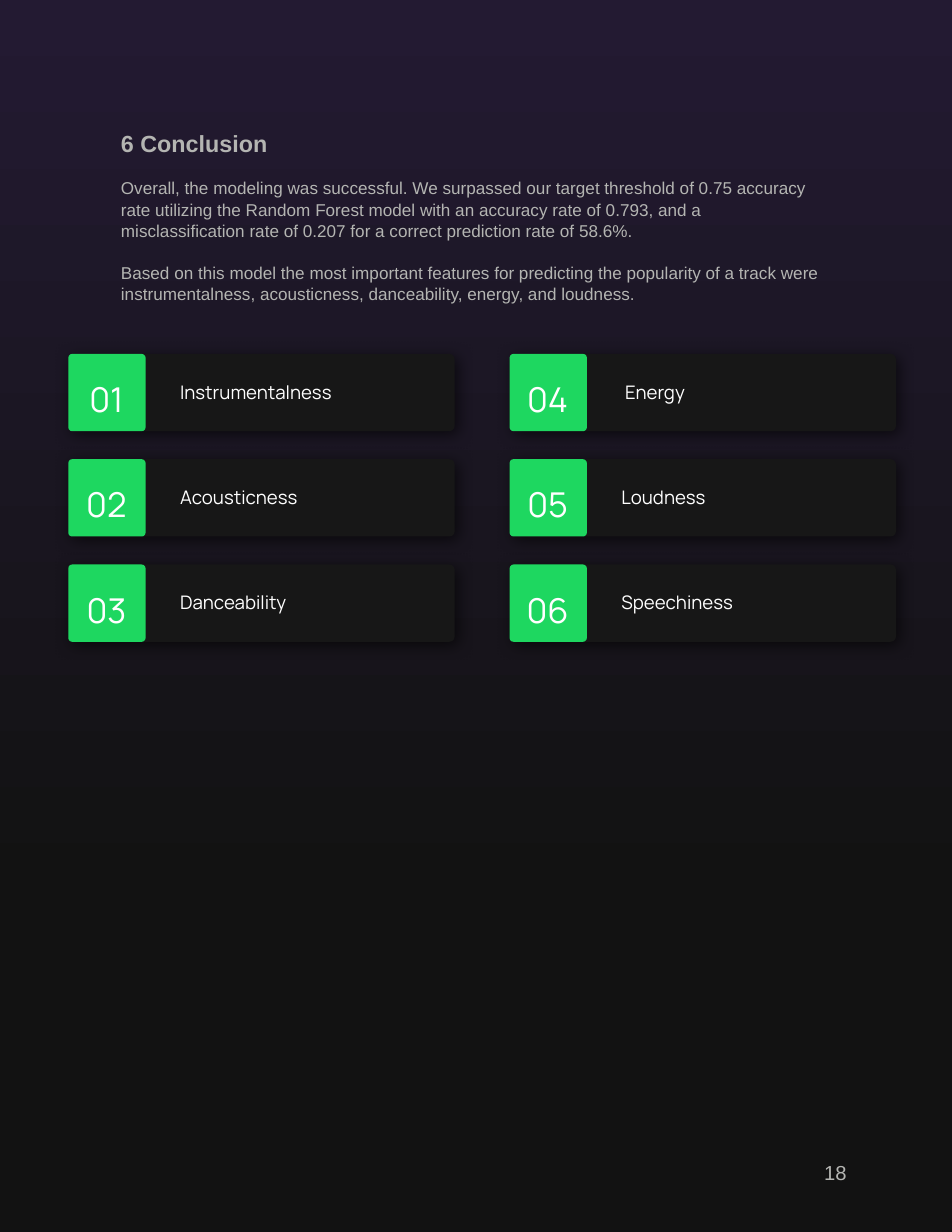
from dataclasses import dataclass
from lxml import etree
from pptx import Presentation
from pptx import util as u
from pptx.dml import color as col
from pptx.enum import shapes, text
from pptx.oxml import ns


def rgb(code):
    return col.RGBColor.from_string(code)


@dataclass(frozen=True)
class Theme:
    top: str = "231A32"
    base: str = "121212"
    bar: str = "171717"
    green: str = "1ED760"
    grey: str = "B4B5B2"
    white: str = "FFFFFF"
    shade: str = "000000"
    sans: str = "Arial"
    round: str = "Manrope"
    head: int = 15
    prose: int = 11
    page: int = 13
    digit: int = 22
    label: int = 12


T = Theme()
LEFT = text.PP_ALIGN.LEFT
MID = text.PP_ALIGN.CENTER
FIT = text.MSO_AUTO_SIZE.SHAPE_TO_FIT_TEXT
KEEP = text.MSO_AUTO_SIZE.NONE
HEAD = "6 Conclusion"
PROSE = [
    "Overall, the modeling was successful. We surpassed our target threshold of 0.75 accuracy rate "
    "utilizing the Random Forest model with an accuracy rate of 0.793, and a misclassification rate "
    "of 0.207 for a correct prediction rate of 58.6%.",
    "Based on this model the most important features for predicting the popularity of a track were "
    "instrumentalness, acousticness, danceability, energy, and loudness.",
]
TRAITS = ["Instrumentalness", "Acousticness", "Danceability", " Energy", "Loudness", "Speechiness"]
ROWS = 3
SIDE = 0.69


def apply(item, values):
    for name, value in values.items():
        setattr(item, name, value)


def place(shape, box):
    names = ("left", "top", "width", "height")
    apply(shape, dict(zip(names, map(u.Inches, box))))


def write(shape, lines, size, face, ink, align=LEFT, bold=False, pad=0.1, fit=FIT, **para):
    frame = shape.text_frame
    frame.text = "\n".join(lines)
    apply(frame, {
        "word_wrap": True,
        "auto_size": fit,
        "vertical_anchor": text.MSO_ANCHOR.TOP,
        "margin_left": u.Inches(0.1),
        "margin_right": u.Inches(0.1),
        "margin_top": u.Inches(pad),
        "margin_bottom": u.Inches(pad),
    })
    for part in frame.paragraphs:
        apply(part, {"alignment": align, **para})
        apply(part.font, {"size": u.Pt(size), "name": face, "bold": bold})
        part.font.color.rgb = rgb(ink)


def add_text(slide, box, line, *style, **more):
    shape = slide.shapes.add_textbox(*map(u.Inches, box))
    write(shape, [line], *style, **more)


def add_block(slide, box, fill, curve):
    shape = slide.shapes.add_shape(shapes.MSO_SHAPE.ROUNDED_RECTANGLE, *map(u.Inches, box))
    shape.adjustments[0] = curve
    shape.fill.solid()
    shape.fill.fore_color.rgb = rgb(fill)
    shape.line.fill.background()
    shape.shadow.inherit = False
    return shape


def add_shade(shape):
    effects = shape._element.spPr.find(ns.qn("a:effectLst"))
    outer = etree.SubElement(effects, ns.qn("a:outerShdw"), blurRad=str(u.Pt(10)),
                             dist=str(u.Pt(3)), dir=str(45 * 60000), algn="tl", rotWithShape="0")
    tone = etree.SubElement(outer, ns.qn("a:srgbClr"), val=T.shade)
    etree.SubElement(tone, ns.qn("a:alpha"), val="60000")


def clear_bullets(shape):
    for part in shape.text_frame.paragraphs:
        props = part._p.get_or_add_pPr()
        props.set("marL", "0")
        props.set("indent", "0")
        etree.SubElement(props, ns.qn("a:buNone"))


def paint_back(slide):
    fill = slide.background.fill
    fill.gradient()
    fill.gradient_angle = 270
    for stop, code, place_at in zip(fill.gradient_stops, (T.top, T.base), (0, 0.73)):
        stop.color.rgb = rgb(code)
        stop.position = place_at


def add_prose(slide):
    title, body = slide.placeholders
    place(title, (0.98, 1.05, 6.53, 0.44))
    write(title, [HEAD], T.head, T.sans, T.grey, bold=True, fit=KEEP)
    place(body, (0.98, 1.48, 6.53, 1.34))
    write(body, PROSE, T.prose, T.sans, T.grey, fit=KEEP,
          line_spacing=1.04, space_before=u.Pt(0), space_after=u.Pt(13))
    clear_bullets(body)


def add_card(slide, left, top, count, label):
    add_shade(add_block(slide, (left, top, 3.45, SIDE), T.bar, 0.07))
    add_block(slide, (left, top, SIDE, SIDE), T.green, 0.05)
    add_text(slide, (left + 0.04, top + 0.17, 0.6, 0.47), f"{count:02}",
             T.digit, T.round, T.white, MID, pad=0.05)
    add_text(slide, (left + 0.9, top + 0.19, 1.9, 0.3), label,
             T.label, T.round, T.white, pad=0.05)


def main():
    deck = Presentation()
    apply(deck, {"slide_width": u.Inches(8.5), "slide_height": u.Inches(11)})
    slide = deck.slides.add_slide(deck.slide_layouts[1])
    paint_back(slide)
    add_prose(slide)
    add_text(slide, (7.26, 10.26, 0.52, 0.42), "18", T.page, T.sans, T.grey)
    for index, label in enumerate(TRAITS):
        column, row = divmod(index, ROWS)
        add_card(slide, 0.61 + 3.94 * column, 3.16 + 0.94 * row, index + 1, label)
    deck.save("out.pptx")


if __name__ == "__main__":
    main()
